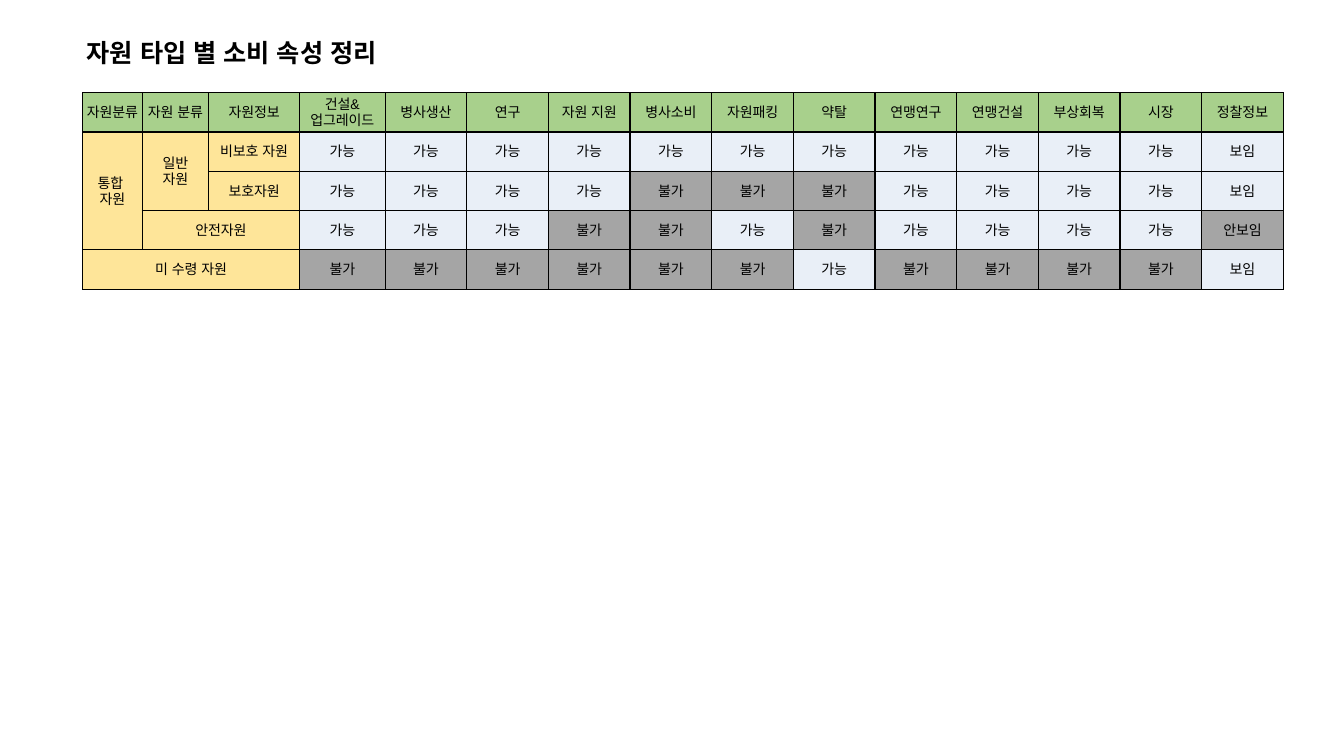
from pptx import Presentation
from pptx import util as u
from pptx.dml import color
from pptx.enum import text
from pptx.oxml import parse_xml
from pptx.oxml import ns

theme = {
    "font": "Arial", "title": 18, "body": 10, "ink": "000000",
    "head": "A8D08C", "group": "FEE599", "yes": "E9EFF7", "no": "A5A5A5",
}

heads = ["자원분류", "자원 분류", "자원정보", "건설&\n업그레이드", "병사생산", "연구",
         "자원 지원", "병사소비", "자원패킹", "약탈", "연맹연구", "연맹건설",
         "부상회복", "시장", "정찰정보"]
groups = [["통합 \n자원", "일반\n자원", "비보호 자원"],
          ["", "", "보호자원"],
          ["", "안전자원", ""],
          ["미 수령 자원", "", ""]]
marks = ["OOOOOOOOOOO", "OOOOXXXOOOO", "OOOXXOXOOOO", "XXXXXXOXXXX"]
words = {"O": "가능", "X": "불가"}
scout = ["보임", "보임", "안보임", "보임"]
rows = [heads] + [g + [words[m] for m in line] + [s]
                  for g, line, s in zip(groups, marks, scout)]
merges = [(1, 0, 3, 0), (1, 1, 2, 1), (3, 1, 3, 2), (4, 0, 4, 2)]
wide = [0.59, 0.66, 0.9, 0.85] + [0.81] * 11
high = 0.39


def style(frame, size, bold, align):
    for par in frame.paragraphs:
        par.alignment = align
        for run in par.runs:
            look = {"name": theme["font"], "size": u.Pt(size), "bold": bold}
            for key, val in look.items():
                setattr(run.font, key, val)
            run.font.color.rgb = color.RGBColor.from_string(theme["ink"])
            run.font._element.append(parse_xml(
                f'<a:ea {ns.nsdecls("a")} typeface="{theme["font"]}"/>'))


def border(cell):
    props = cell._tc.get_or_add_tcPr()
    for side in "LRTB":
        props.append(parse_xml(
            f'<a:ln{side} {ns.nsdecls("a")} w="{u.Pt(1)}"><a:solidFill>'
            f'<a:srgbClr val="{theme["ink"]}"/></a:solidFill></a:ln{side}>'))


deck = Presentation()
deck.slide_width, deck.slide_height = u.Inches(13.33), u.Inches(7.5)
slide = deck.slides.add_slide(deck.slide_layouts[5])

title = slide.shapes.title
place = {"left": 0.76, "top": 0.32, "width": 3.43, "height": 0.4}
for key, val in place.items():
    setattr(title, key, u.Inches(val))
frame = title.text_frame
frame.text = "자원 타입 별 소비 속성 정리"
setup = {"word_wrap": False, "auto_size": text.MSO_AUTO_SIZE.NONE,
         "vertical_anchor": text.MSO_ANCHOR.TOP}
for key, val in setup.items():
    setattr(frame, key, val)
style(frame, theme["title"], True, text.PP_ALIGN.LEFT)

table = slide.shapes.add_table(
    len(rows), len(wide), u.Inches(0.82), u.Inches(0.92),
    u.Inches(sum(wide)), u.Inches(high * len(rows))).table
table.first_row = table.horz_banding = False
for col, width in zip(table.columns, wide):
    col.width = u.Inches(width)
for row in table.rows:
    row.height = u.Inches(high)

pads = {"margin_left": 0.01, "margin_right": 0.01,
        "margin_top": 0.01, "margin_bottom": 0}
for r, line in enumerate(rows):
    for c, word in enumerate(line):
        cell = table.cell(r, c)
        cell.text = word
        cell.vertical_anchor = text.MSO_ANCHOR.MIDDLE
        for key, val in pads.items():
            setattr(cell, key, u.Inches(val))
        border(cell)
        kind = ("head" if r == 0 else "group" if c < 3
                else "no" if word in ("불가", "안보임") else "yes")
        cell.fill.solid()
        cell.fill.fore_color.rgb = color.RGBColor.from_string(theme[kind])
        style(cell.text_frame, theme["body"], False, text.PP_ALIGN.CENTER)

for top, left, low, right in merges:
    table.cell(top, left).merge(table.cell(low, right))

deck.save("out.pptx")
